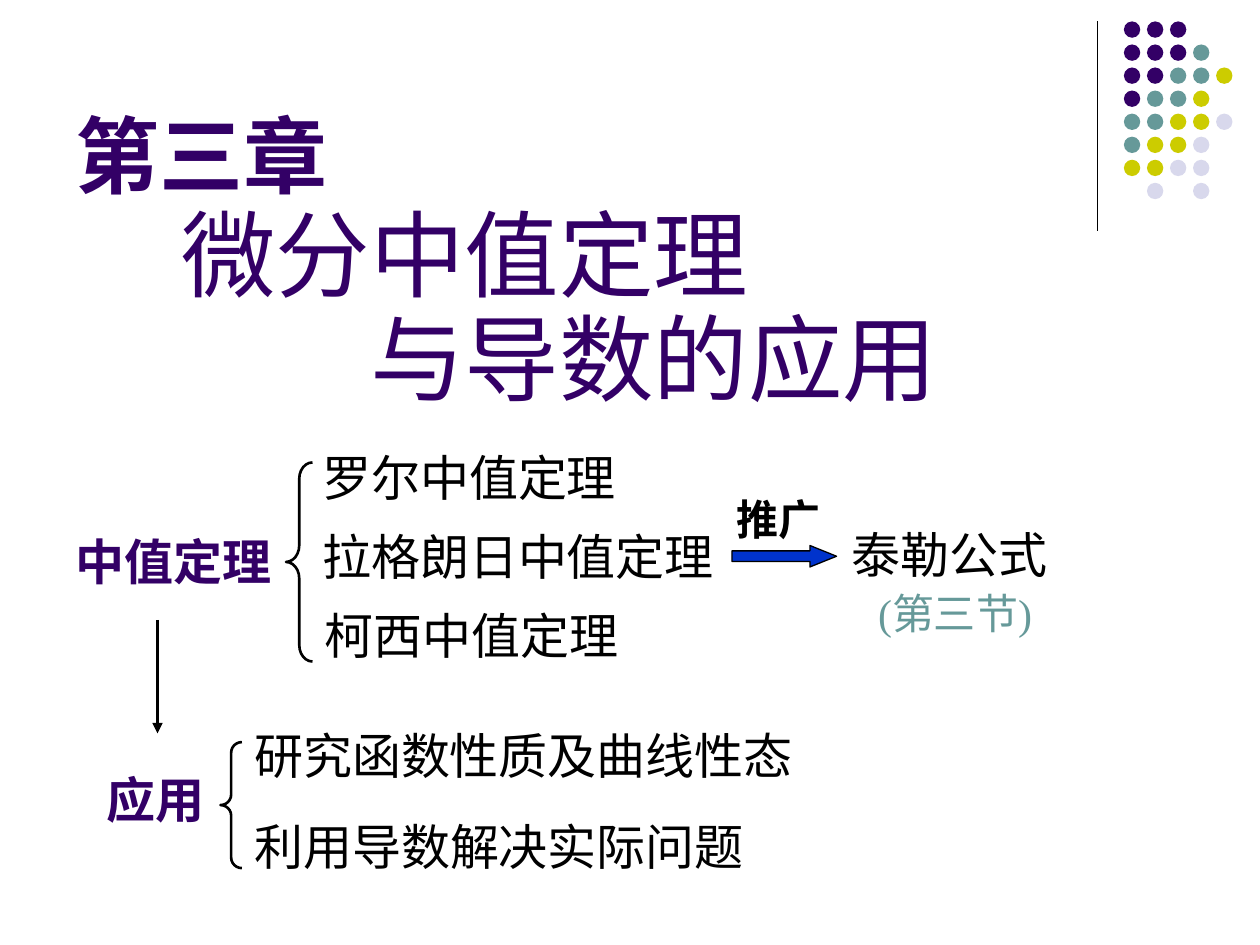
"""Build the opening slide of chapter three: mean value theorems and uses of derivatives."""
from dataclasses import dataclass

from lxml.etree import SubElement
from pptx import Presentation
from pptx.dml.color import RGBColor
from pptx.enum.shapes import MSO_CONNECTOR, MSO_SHAPE
from pptx.enum.text import MSO_ANCHOR, MSO_AUTO_SIZE, PP_ALIGN
from pptx.oxml.ns import qn
from pptx.util import Inches, Pt


@dataclass(frozen=True)
class Theme:
    purple: str = "330066"
    teal: str = "669999"
    lime: str = "CCCC00"
    lilac: str = "D8D8EC"
    blue: str = "0033CC"
    black: str = "000000"
    serif: str = "Times New Roman"
    sans: str = "Arial"
    cjk: str = "Noto Sans CJK SC"
    heading: int = 54
    title: int = 48
    body: int = 28
    small: int = 24
    thin: float = 0.75
    thick: float = 1.5


def add_text(p, text, *, size, color, font, cjk, bold=False):
    r = p.add_run()
    r.text = text
    r.font.name, r.font.size, r.font.bold = font, Pt(size), bold
    r.font.color.rgb = RGBColor.from_string(color)
    SubElement(r.font._element, qn("a:ea"), typeface=cjk)


class Deck:
    def __init__(self, slide, theme):
        self.s = slide
        self.theme = theme

    def text(self, box, text, *, size=None, color=None, font=None, bold=False, wrap=True, grow=True):
        t = self.theme
        sp = self.s.shapes.add_textbox(*map(Inches, box))
        tf = sp.text_frame
        tf.word_wrap = wrap
        tf.auto_size = MSO_AUTO_SIZE.SHAPE_TO_FIT_TEXT if grow else MSO_AUTO_SIZE.NONE
        add_text(tf.paragraphs[0], text, size=size or t.body, color=color or t.black,
                 font=font or t.serif, cjk=t.cjk, bold=bold)
        return tf

    def shape(self, kind, box, *, fill=None, line=None, width=0.75, adjust=()):
        sp = self.s.shapes.add_shape(kind, *map(Inches, box))
        sp.shadow.inherit = False
        for i, value in enumerate(adjust):
            sp.adjustments[i] = value
        if fill:
            sp.fill.solid()
            sp.fill.fore_color.rgb = RGBColor.from_string(fill)
        else:
            sp.fill.background()
        if line:
            sp.line.color.rgb = RGBColor.from_string(line)
            sp.line.width = Pt(width)
        else:
            sp.line.fill.background()

    def brace(self, box, curve):
        self.shape(MSO_SHAPE.LEFT_BRACE, box, line=self.theme.black,
                   width=self.theme.thick, adjust=(curve, 0.5))

    def line(self, start, end, width, arrow=False):
        c = self.s.shapes.add_connector(MSO_CONNECTOR.STRAIGHT, *map(Inches, start + end))
        c.line.color.rgb = RGBColor.from_string(self.theme.black)
        c.line.width = Pt(width)
        if arrow:
            SubElement(c.line._get_or_add_ln(), qn("a:tailEnd"), type="triangle")
        SubElement(c._element.spPr, qn("a:effectLst"))

    def dots(self, rows, left, top, step, size):
        t = self.theme
        colors = {"P": t.purple, "T": t.teal, "Y": t.lime, "L": t.lilac}
        for j, row in enumerate(rows):
            for i, key in enumerate(row):
                if key in colors:
                    self.shape(MSO_SHAPE.OVAL, (left + i * step, top + j * step, size, size),
                               fill=colors[key])


def main():
    prs = Presentation()
    prs.slide_width, prs.slide_height = Inches(10), Inches(7.5)
    t = Theme()
    deck = Deck(prs.slides.add_slide(prs.slide_layouts[6]), t)

    deck.line((8.71, 0.17), (8.71, 1.83), t.thin)
    deck.dots(["PPP", "PPPT", "PPTTY", "PTTY", "TTYYL", "TYYL", "YYLL", ".L.L"],
              left=8.92, top=0.17, step=0.183, size=0.13)

    tf = deck.text((0.5, 0.75, 2.75, 0.92), "第三章", size=t.title, color=t.purple,
                   font=t.sans, bold=True, grow=False)
    tf.vertical_anchor = MSO_ANCHOR.BOTTOM

    deck.line((1.25, 4.92), (1.25, 5.82), t.thick, arrow=True)
    for box, label in [((0.5, 4.17, 1.92, 0.57), "中值定理"),
                       ((0.75, 6.06, 1, 0.57), "应用")]:
        deck.text(box, label, color=t.purple, bold=True)
    for left, top, width, label in [(1.92, 5.71, 4.67, "研究函数性质及曲线性态"),
                                    (1.92, 6.43, 4.42, "利用导数解决实际问题"),
                                    (2.46, 3.5, 3.12, "罗尔中值定理"),
                                    (2.46, 4.13, 3.62, "拉格朗日中值定理"),
                                    (2.48, 4.76, 3.02, "柯西中值定理")]:
        deck.text((left, top, width, 0.57), label)

    tf = deck.text((6.58, 4.11, 2, 0.98), "泰勒公式 ")
    p = tf.add_paragraph()
    add_text(p, "(第三节)", size=t.small, color=t.teal, font=t.serif, cjk=t.cjk)
    p.line_spacing, p.space_before = 0.5, Pt(15)
    for p in tf.paragraphs:
        p.alignment = PP_ALIGN.CENTER

    deck.shape(MSO_SHAPE.RIGHT_ARROW, (5.81, 4.33, 0.83, 0.17), fill=t.blue,
               line=t.black, width=t.thin, adjust=(0.5, 1.24))
    deck.text((5.75, 3.87, 1.08, 0.5), "推广", size=t.small, bold=True)

    deck.brace((2.27, 3.67, 0.21, 1.58), 0.62)
    deck.brace((1.75, 5.89, 0.17, 1), 0.49)

    for left, top, label in [(1.34, 1.51, "微分中值定理"), (2.84, 2.33, "与导数的应用")]:
        deck.text((left, top, 4.87, 1), label, size=t.heading, color=t.purple,
                  font=t.cjk, wrap=False)

    prs.save("out.pptx")


if __name__ == "__main__":
    main()
